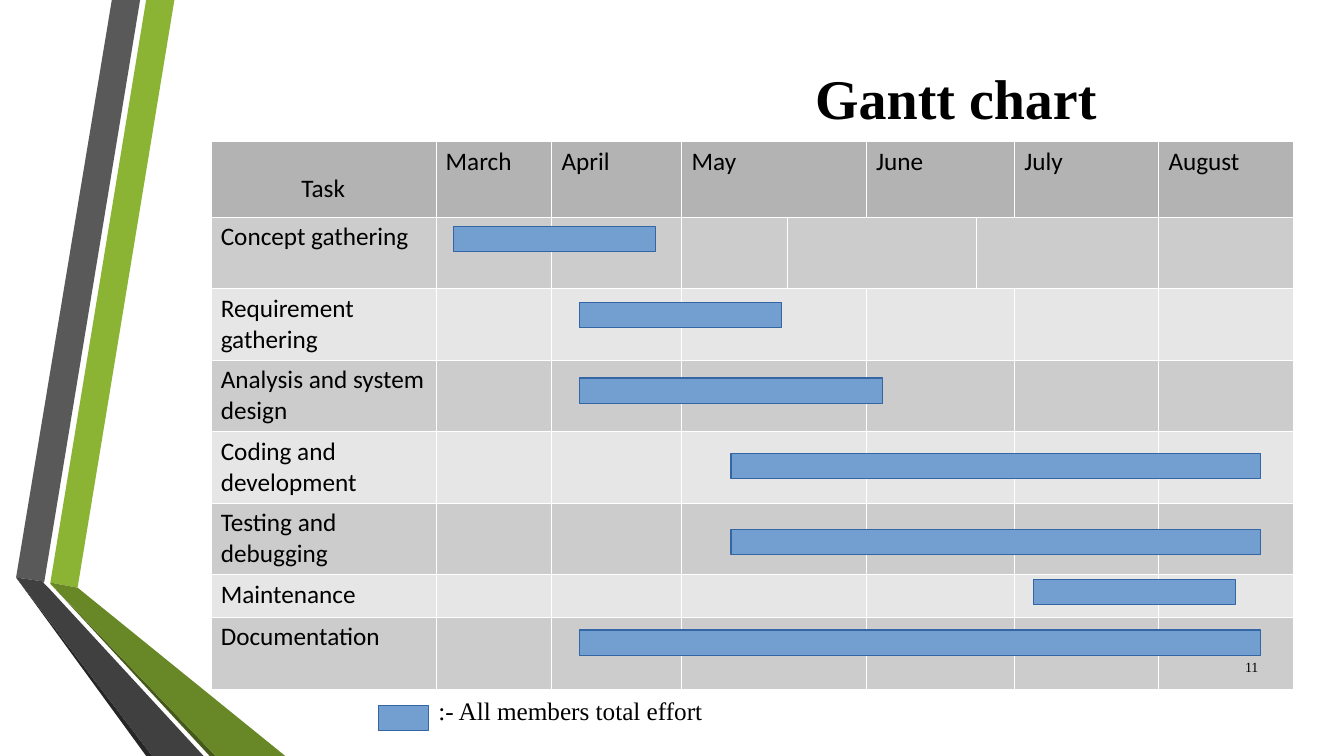
from pptx import Presentation
from pptx.dml.color import RGBColor
from pptx.enum.shapes import MSO_SHAPE
from pptx.enum.text import MSO_ANCHOR, PP_ALIGN
from pptx.oxml.xmlchemy import OxmlElement
from pptx.util import Inches, Pt

COLORS = {
    "green": "8BB434", "green_mid": "688727", "green_dark": "455A1A",
    "gray": "595959", "gray_mid": "404040", "gray_dark": "262626",
    "header": "B3B3B3", "band_dark": "CCCCCC", "band_light": "E6E6E6",
    "bar": "729FCF", "bar_line": "3465A4", "text": "000000", "border": "FFFFFF",
}
RIBBONS = [
    ("green", [(0.5, 5.78), (0.77, 5.83), (1.73, 0), (1.45, 0)]),
    ("gray", [(1.39, 0), (1.11, 0), (0.16, 5.73), (0.44, 5.77)]),
    ("gray_dark", [(0.16, 5.73), (1.45, 7.5), (1.51, 7.5)]),
    ("green_dark", [(0.5, 5.79), (2.08, 7.5), (2.14, 7.5)]),
    ("green_mid", [(0.5, 5.79), (2.14, 7.5), (2.83, 7.5), (0.77, 5.83), (0.5, 5.78)]),
    ("gray_mid", [(2.02, 7.5), (0.48, 5.83), (0.43, 5.78), (0.44, 5.77),
                  (0.16, 5.73), (1.51, 7.5)]),
]
COL_WIDTHS = [2.23, 1.15, 1.29, 1.05, 0.78, 1.09, 0.38, 1.43, 1.34]
ROW_HEIGHTS = [0.75] + [0.71] * 5 + [0.42, 0.72]
HEADERS = {0: "Task", 1: "March", 2: "April", 3: "May", 5: "June", 7: "July", 8: "August"}
TASKS = [  # name, bar left, bar top, bar width
    ("Concept gathering", 4.5, 2.25, 2),
    ("Requirement gathering", 5.75, 3, 2),
    ("Analysis and system design", 5.75, 3.75, 3),
    ("Coding and development", 7.25, 4.5, 5.25),
    ("Testing and debugging", 7.25, 5.25, 5.25),
    ("Maintenance", 10.25, 5.75, 2),
    ("Documentation", 5.75, 6.25, 6.75),
]


def rgb(name):
    return RGBColor.from_string(COLORS[name])


def style_font(font, name, size, bold=False):
    font.name, font.size, font.bold = name, Pt(size), bold
    font.color.rgb = rgb("text")


def add_ribbon(slide, color, points):
    corners = [(Inches(x), Inches(y)) for x, y in points]
    builder = slide.shapes.build_freeform(*corners[0])
    builder.add_line_segments(corners[1:], close=True)
    sp = builder.convert_to_shape()
    sp.shadow.inherit = False
    sp.fill.solid()
    sp.fill.fore_color.rgb = rgb(color)
    sp.line.fill.background()


def add_text(slide, text, box, size, align=PP_ALIGN.LEFT, anchor=MSO_ANCHOR.TOP, bold=False):
    tf = slide.shapes.add_textbox(*map(Inches, box)).text_frame
    tf.word_wrap = True
    tf.vertical_anchor = anchor
    p = tf.paragraphs[0]
    p.text, p.alignment = text, align
    style_font(p.font, "Times New Roman", size, bold)


def add_bar(slide, left, top, width):
    sp = slide.shapes.add_shape(MSO_SHAPE.RECTANGLE, Inches(left), Inches(top),
                                Inches(width), Inches(0.25))
    sp.shadow.inherit = False
    sp.fill.solid()
    sp.fill.fore_color.rgb = rgb("bar")
    sp.line.color.rgb = rgb("bar_line")
    sp.line.width = 0


def set_borders(cell):
    tc_pr = cell._tc.get_or_add_tcPr()
    for side in ("L", "R", "T", "B"):
        ln = OxmlElement(f"a:ln{side}")
        ln.set("w", str(Pt(0.06)))
        fill, color = OxmlElement("a:solidFill"), OxmlElement("a:srgbClr")
        color.set("val", COLORS["border"])
        fill.append(color)
        ln.append(fill)
        tc_pr.append(ln)


def style_cell(cell, color, text=""):
    set_borders(cell)
    cell.fill.solid()
    cell.fill.fore_color.rgb = rgb(color)
    cell.text = text
    style_font(cell.text_frame.paragraphs[0].font, "Calibri", 18)


def add_schedule(slide):
    table = slide.shapes.add_table(
        len(ROW_HEIGHTS), len(COL_WIDTHS), Inches(2.09), Inches(1.4),
        Inches(sum(COL_WIDTHS)), Inches(sum(ROW_HEIGHTS))).table
    table.first_row = table.horz_banding = False
    for column, width in zip(table.columns, COL_WIDTHS):
        column.width = Inches(width)
    for row, height in zip(table.rows, ROW_HEIGHTS):
        row.height = Inches(height)

    for i in range(len(ROW_HEIGHTS)):
        color = "header" if i == 0 else "band_dark" if i % 2 else "band_light"
        labels = HEADERS if i == 0 else {0: TASKS[i - 1][0]}
        for j in range(len(COL_WIDTHS)):
            style_cell(table.cell(i, j), color, labels.get(j, ""))
        # The first task row splits May to July at different places
        for j in (4, 6) if i == 1 else (3, 5):
            table.cell(i, j).merge(table.cell(i, j + 1))

    task = table.cell(0, 0)
    task.vertical_anchor = MSO_ANCHOR.BOTTOM
    task.margin_bottom = Inches(0.12)
    task.text_frame.paragraphs[0].alignment = PP_ALIGN.CENTER


def main():
    prs = Presentation()
    prs.slide_width, prs.slide_height = Inches(13.33), Inches(7.5)
    slide = prs.slides.add_slide(prs.slide_layouts[6])
    for color, points in RIBBONS:
        add_ribbon(slide, color, points)
    add_text(slide, "Gantt chart", (4, 0, 10.96, 1.92), 40,
             PP_ALIGN.CENTER, MSO_ANCHOR.MIDDLE, bold=True)
    add_text(slide, ":- All members total effort", (4.25, 6.85, 3.3, 0.4), 18)
    add_schedule(slide)
    for _, left, top, width in TASKS:
        add_bar(slide, left, top, width)
    add_bar(slide, 3.75, 7, 0.5)  # legend key
    add_text(slide, "11", (11.98, 6.42, 0.6, 0.4), 10, PP_ALIGN.RIGHT, MSO_ANCHOR.MIDDLE)
    prs.save("out.pptx")


if __name__ == "__main__":
    main()
